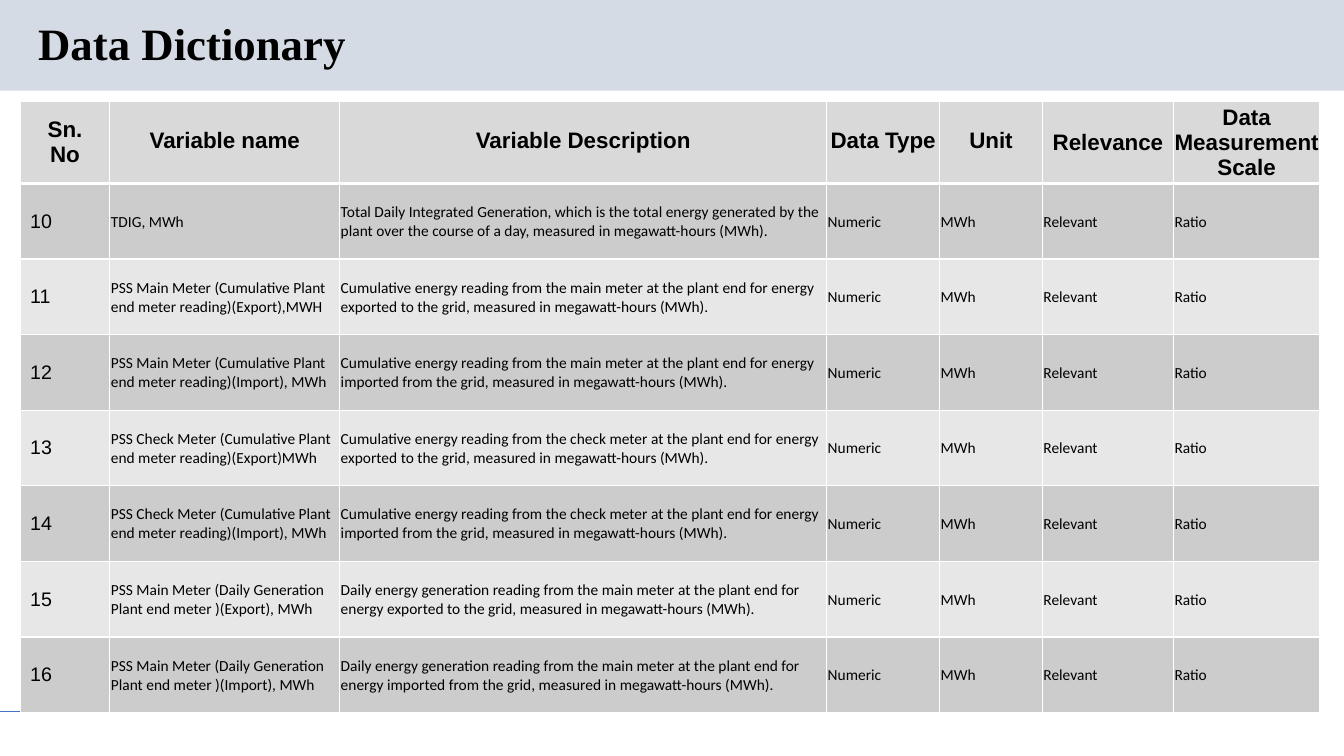
from pptx import Presentation
from pptx.dml.color import RGBColor
from pptx.enum import shapes, text
from pptx.oxml import parse_xml
from pptx.oxml.ns import nsdecls
from pptx.util import Inches, Pt

# Content
TITLE = "Data Dictionary"
HEADERS = ["Sn. No", "Variable name", "Variable Description", "Data Type",
           "Unit", "Relevance", "Data Measurement Scale"]
FIRST_NO = 10
VARIABLES = [
    ("TDIG, MWh",
     "Total Daily Integrated Generation, which is the total energy generated by the plant "
     "over the course of a day, measured in megawatt-hours (MWh)."),
    ("PSS Main Meter (Cumulative Plant end meter reading)(Export),MWH",
     "Cumulative energy reading from the main meter at the plant end for energy "
     "exported to the grid, measured in megawatt-hours (MWh)."),
    ("PSS Main Meter (Cumulative Plant end meter reading)(Import), MWh",
     "Cumulative energy reading from the main meter at the plant end for energy "
     "imported from the grid, measured in megawatt-hours (MWh)."),
    ("PSS Check Meter (Cumulative Plant end meter reading)(Export)MWh",
     "Cumulative energy reading from the check meter at the plant end for energy "
     "exported to the grid, measured in megawatt-hours (MWh)."),
    ("PSS Check Meter (Cumulative Plant end meter reading)(Import), MWh",
     "Cumulative energy reading from the check meter at the plant end for energy "
     "imported from the grid, measured in megawatt-hours (MWh)."),
    ("PSS Main Meter (Daily Generation Plant end meter )(Export), MWh",
     "Daily energy generation reading from the main meter at the plant end for energy "
     "exported to the grid, measured in megawatt-hours (MWh)."),
    ("PSS Main Meter (Daily Generation Plant end meter )(Import), MWh",
     "Daily energy generation reading from the main meter at the plant end for energy "
     "imported from the grid, measured in megawatt-hours (MWh)."),
]
SHARED = ["Numeric", "MWh", "Relevant", "Ratio"]
COL_WIDTHS = [0.89, 2.28, 4.83, 1.12, 1.02, 1.3, 1.45]
HEAD_H, ROW_H = 0.78, 0.75
COLORS = {"band": "D5DBE5", "rule": "4472C4", "text": "000000", "border": "FFFFFF",
          "head": "D9D9D9", "odd": "CCCCCC", "even": "E7E7E7"}


def rgb(name):
    return RGBColor.from_string(COLORS[name])


def style(p, font, size, bold):
    for r in p.runs:
        f = r.font
        f.name, f.size, f.bold = font, Pt(size), bold
        f.color.rgb = rgb("text")


def add_borders(cell, top, bottom):
    """Side borders are 1 pt; they must precede the fill in tcPr."""
    tcPr = cell._tc.get_or_add_tcPr()
    widths = [("lnL", 1), ("lnR", 1), ("lnT", top), ("lnB", bottom)]
    for i, (tag, width) in enumerate(widths):
        tcPr.insert(i, parse_xml(
            f'<a:{tag} {nsdecls("a")} w="{Pt(width)}"><a:solidFill>'
            f'<a:srgbClr val="{COLORS["border"]}"/></a:solidFill></a:{tag}>'))


prs = Presentation()
prs.slide_width, prs.slide_height = Inches(13.33), Inches(7.5)
s = prs.slides.add_slide(prs.slide_layouts[6])

# Title band
band = s.shapes.add_shape(shapes.MSO_SHAPE.RECTANGLE, 0, 0, prs.slide_width, Inches(0.9))
band.shadow.inherit = False
band.fill.solid()
band.fill.fore_color.rgb = rgb("band")
band.line.fill.background()

# Footer rule
rule = s.shapes.add_connector(shapes.MSO_CONNECTOR.STRAIGHT,
                              0, Inches(7.06), Inches(10.51), Inches(7.06))
rule.line.color.rgb = rgb("rule")
rule.line.width = Pt(0.75)
rule._element.spPr.append(parse_xml(f'<a:effectLst {nsdecls("a")}/>'))

# Title
tf = s.shapes.add_textbox(Inches(0.28), Inches(0.16), Inches(11.5), Inches(0.59)).text_frame
tf.word_wrap = True
tf.vertical_anchor = text.MSO_ANCHOR.MIDDLE
tf.text = TITLE
tf.paragraphs[0].line_spacing = 0.9
style(tf.paragraphs[0], "Times New Roman", 32, True)

# Table
rows = [HEADERS] + [[str(no), *variable, *SHARED]
                    for no, variable in enumerate(VARIABLES, FIRST_NO)]
heights = [HEAD_H] + [ROW_H] * len(VARIABLES)
table = s.shapes.add_table(len(rows), len(HEADERS), Inches(0.2), Inches(1.01),
                           Inches(sum(COL_WIDTHS)), Inches(sum(heights))).table
for col, width in zip(table.columns, COL_WIDTHS):
    col.width = Inches(width)

for i, (values, height) in enumerate(zip(rows, heights)):
    table.rows[i].height = Inches(height)
    head = i == 0
    fill = "head" if head else "odd" if i % 2 else "even"
    for j, value in enumerate(values):
        cell = table.cell(i, j)
        cell.text = value
        cell.vertical_anchor = text.MSO_ANCHOR.MIDDLE
        if j > 0:
            cell.margin_left = cell.margin_right = cell.margin_top = Inches(0.01)
            cell.margin_bottom = Inches(0.05 if head and j < 5 else 0)
        cell.fill.solid()
        cell.fill.fore_color.rgb = rgb(fill)
        add_borders(cell, 3 if i == 1 else 1, 3 if head else 1)
        p = cell.text_frame.paragraphs[0]
        if head:
            p.alignment = text.PP_ALIGN.CENTER
            style(p, "Arial", 16, True)
        elif j == 0:
            style(p, "Arial", 14, False)
        else:
            style(p, "Calibri", 11, False)

prs.save("out.pptx")
